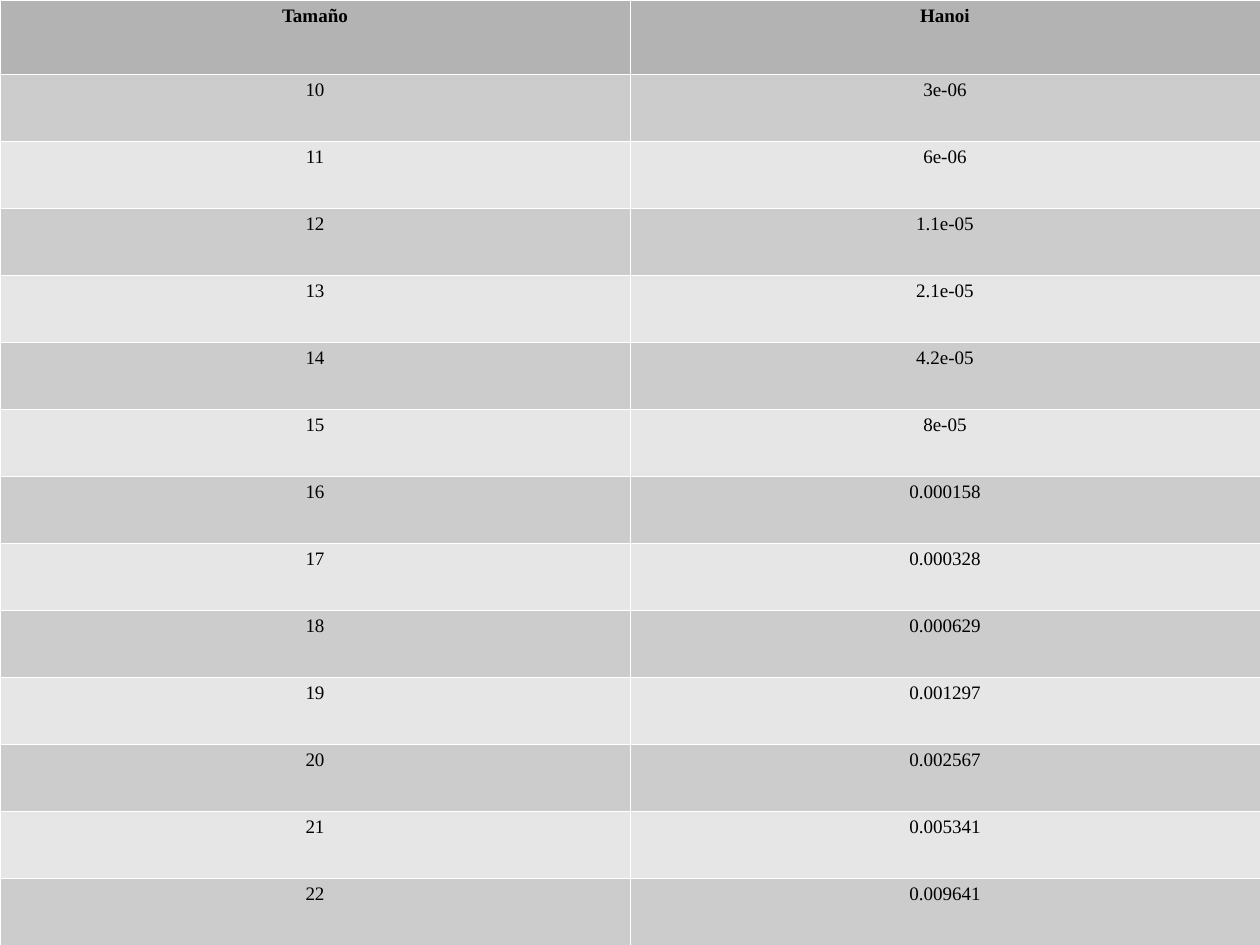
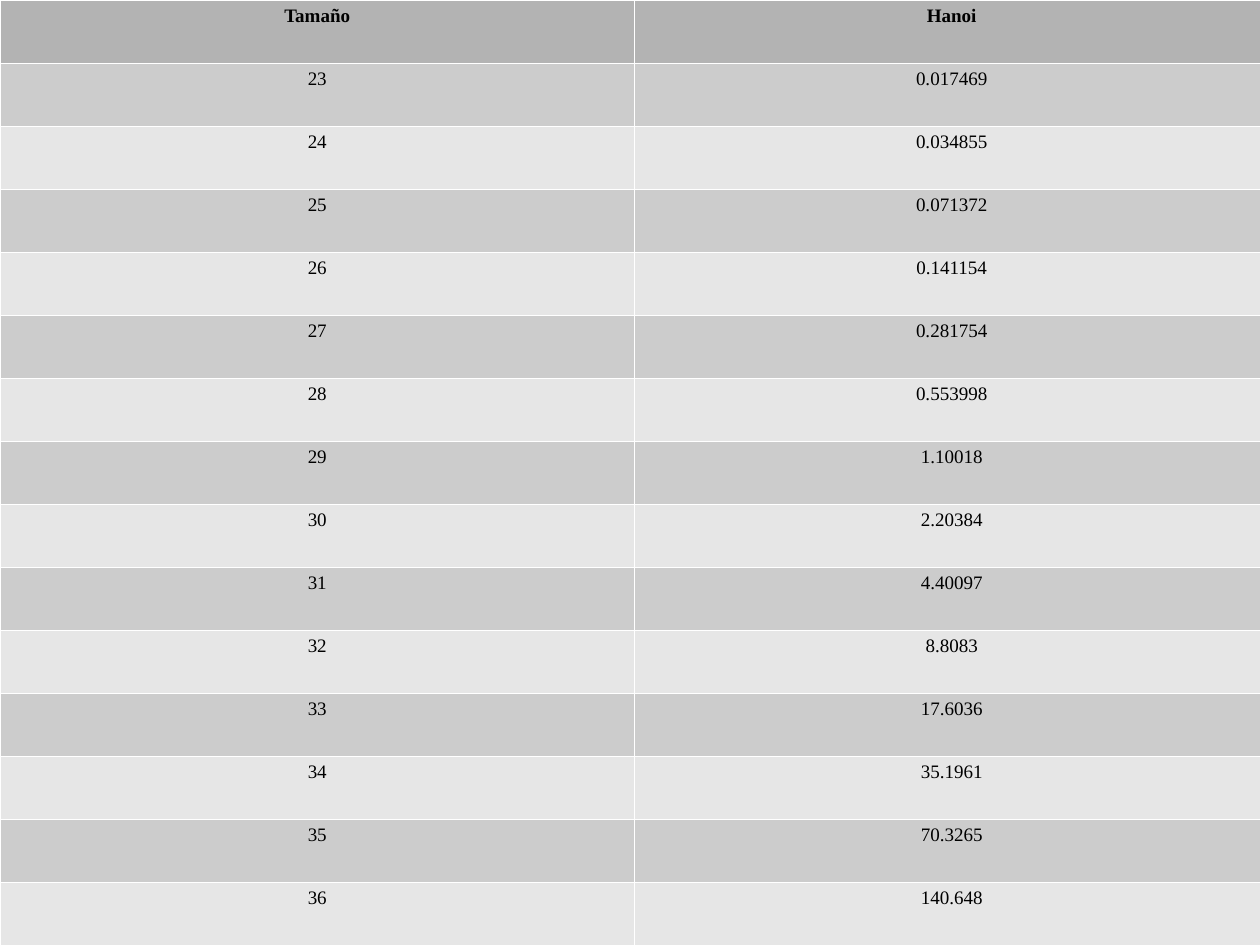
from dataclasses import dataclass

from lxml import etree
from pptx import Presentation
from pptx.dml.color import RGBColor
from pptx.enum.text import PP_ALIGN
from pptx.oxml.ns import qn
from pptx.util import Cm, Pt

CENTER = PP_ALIGN.CENTER
BLANK_LAYOUT = 6
SLIDE_W, SLIDE_H = 28, 21
HEADERS = ("Tamaño", "Hanoi")
SMALL_SIZES = (
    "3e-06", "6e-06", "1.1e-05", "2.1e-05", "4.2e-05", "8e-05", "0.000158",
    "0.000328", "0.000629", "0.001297", "0.002567", "0.005341", "0.009641",
)
LARGE_SIZES = (
    "0.017469", "0.034855", "0.071372", "0.141154", "0.281754", "0.553998",
    "1.10018", "2.20384", "4.40097", "8.8083", "17.6036", "35.1961",
    "70.3265", "140.648",
)


@dataclass(frozen=True)
class Theme:
    header: str = "B3B3B3"
    bands: tuple = ("CCCCCC", "E6E6E6")
    border: str = "FFFFFF"
    border_pt: float = 0.06
    text: str = "000000"
    font: str = "Times New Roman"
    size: int = 12


class Deck:
    """Build slides of timing tables in one shared style."""

    def __init__(self, theme):
        self.theme = theme
        self.prs = Presentation()
        self.prs.slide_width, self.prs.slide_height = Cm(SLIDE_W), Cm(SLIDE_H)
        self.s = None

    def slide(self):
        self.s = self.prs.slides.add_slide(self.prs.slide_layouts[BLANK_LAYOUT])

    def borders(self, cell):
        tc_pr = cell._tc.get_or_add_tcPr()
        for side in ("a:lnL", "a:lnR", "a:lnT", "a:lnB"):
            ln = etree.SubElement(tc_pr, qn(side), w=str(Pt(self.theme.border_pt)))
            fill = etree.SubElement(ln, qn("a:solidFill"))
            etree.SubElement(fill, qn("a:srgbClr"), val=self.theme.border)

    def cell(self, cell, text, fill, bold):
        self.borders(cell)
        cell.fill.solid()
        cell.fill.fore_color.rgb = RGBColor.from_string(fill)
        p = cell.text_frame.paragraphs[0]
        p.alignment = CENTER
        r = p.add_run()
        r.text = text
        formats = {"name": self.theme.font, "size": Pt(self.theme.size), "bold": bold}
        for name, value in formats.items():
            setattr(r.font, name, value)
        r.font.color.rgb = RGBColor.from_string(self.theme.text)

    def table(self, first_size, times, width, header_h):
        sizes = map(str, range(first_size, first_size + len(times)))
        rows = [HEADERS, *zip(sizes, times)]
        table = self.s.shapes.add_table(
            len(rows), len(HEADERS), 0, 0, Cm(width), Cm(SLIDE_H)
        ).table
        row_h = (SLIDE_H - header_h) / len(times)
        for i, values in enumerate(rows):
            is_header = i == 0
            table.rows[i].height = Cm(header_h if is_header else row_h)
            fill = self.theme.header if is_header else self.theme.bands[(i - 1) % 2]
            for j, text in enumerate(values):
                self.cell(table.cell(i, j), text, fill, is_header)


def main():
    deck = Deck(Theme())
    for first_size, times, width, header_h in (
        (10, SMALL_SIZES, 28, 1.65),
        (23, LARGE_SIZES, 28.2, 1.4),
    ):
        deck.slide()
        deck.table(first_size, times, width, header_h)
    deck.prs.save("out.pptx")


if __name__ == "__main__":
    main()
